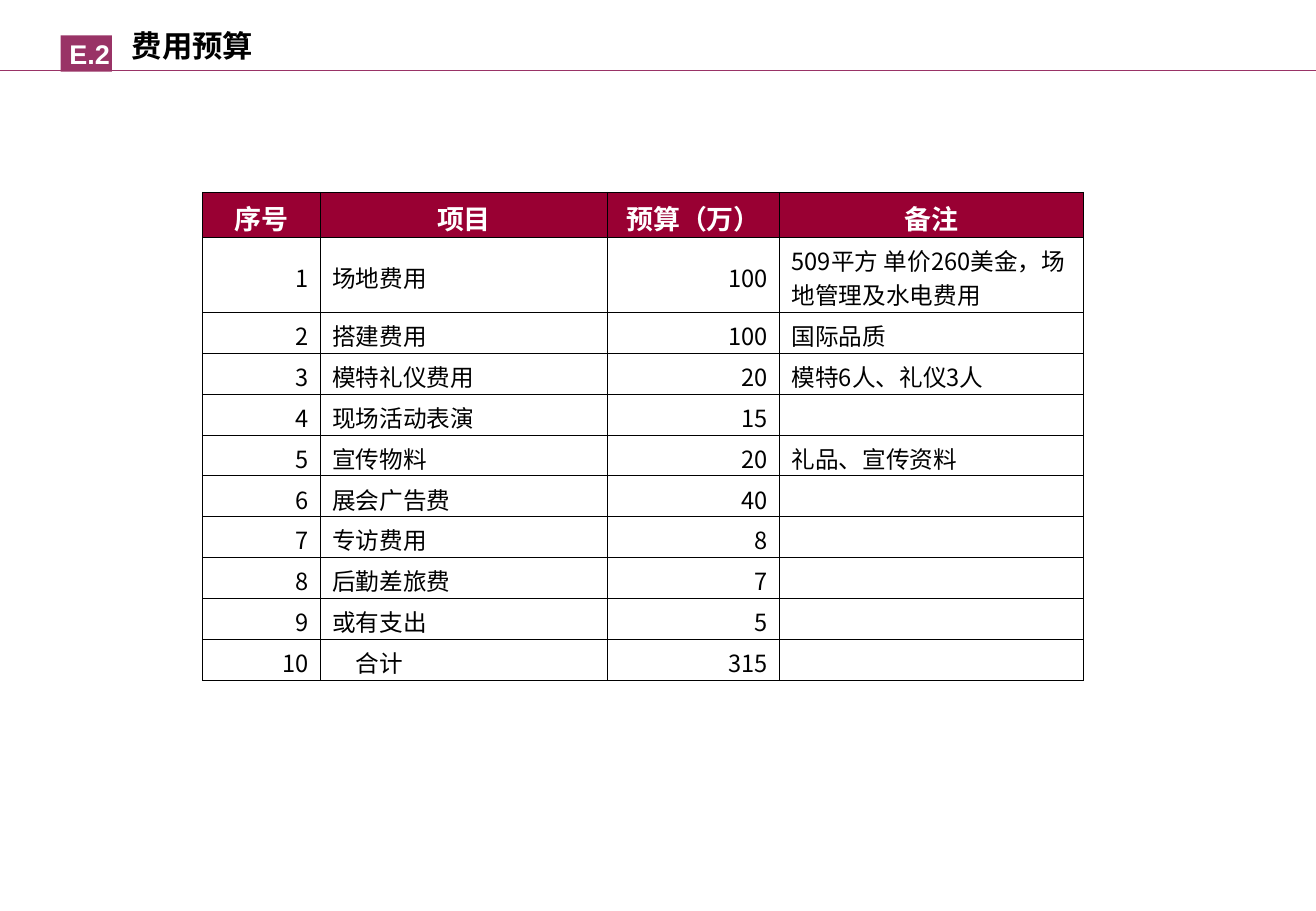
from collections import namedtuple
from dataclasses import dataclass

from lxml import etree
from pptx import Presentation, util as u
from pptx.dml import color
from pptx.enum import shapes, text
from pptx.oxml import ns

Box = namedtuple("Box", "left top width height")


@dataclass(frozen=True)
class Theme:
    plum: str = "993366"
    crimson: str = "990033"
    black: str = "000000"
    white: str = "FFFFFF"
    latin: str = "Arial"
    chinese: str = "Noto Sans CJK SC"
    title_size: int = 18
    header_size: int = 16
    body_size: int = 14
    rule_width: float = 0.75
    border_width: float = 0.45


THEME = Theme()
LEFT, CENTER, RIGHT = text.PP_ALIGN.LEFT, text.PP_ALIGN.CENTER, text.PP_ALIGN.RIGHT
MIDDLE, BOTTOM = text.MSO_ANCHOR.MIDDLE, text.MSO_ANCHOR.BOTTOM

HEADINGS = ["序号", "项目", "预算（万）", "备注"]
COSTS = [
    ("场地费用", 100, "509平方 单价260美金，场地管理及水电费用"),
    ("搭建费用", 100, "国际品质"),
    ("模特礼仪费用", 20, "模特6人、礼仪3人"),
    ("现场活动表演", 15, ""),
    ("宣传物料", 20, "礼品、宣传资料"),
    ("展会广告费", 40, ""),
    ("专访费用", 8, ""),
    ("后勤差旅费", 7, ""),
    ("或有支出", 5, ""),
    ("合计", 315, ""),
]
COLUMN_ALIGNS = [RIGHT, LEFT, RIGHT, LEFT]


def apply(target, formats):
    for name, value in formats.items():
        setattr(target, name, value)


def lengths(box):
    return [u.Cm(value) for value in box]


def write(paragraph, words, size, hue, bold, align, face=THEME.chinese):
    paragraph.alignment = align
    run = paragraph.add_run()
    run.text = words
    apply(run.font, {"size": u.Pt(size), "bold": bold, "name": face})
    run.font.color.rgb = color.RGBColor.from_string(hue)
    etree.SubElement(run.font._element, ns.qn("a:ea"), typeface=face)


def draw_border(cell):
    properties = cell._tc.get_or_add_tcPr()
    for position, side in enumerate(("lnL", "lnR", "lnT", "lnB")):
        edge = etree.Element(ns.qn(f"a:{side}"), w=str(u.Pt(THEME.border_width)))
        fill = etree.SubElement(edge, ns.qn("a:solidFill"))
        etree.SubElement(fill, ns.qn("a:srgbClr"), val=THEME.black)
        properties.insert(position, edge)


def add_heading(slide, box):
    line_y = u.Cm(box.top + box.height)
    rule = slide.shapes.add_connector(
        shapes.MSO_CONNECTOR.STRAIGHT, u.Cm(box.left), line_y, u.Cm(box.left + box.width), line_y)
    rule.line.color.rgb = color.RGBColor.from_string(THEME.plum)
    rule.line.width = u.Pt(THEME.rule_width)
    etree.SubElement(rule._element.spPr, ns.qn("a:effectLst"))

    badge_box = Box(box.left + 1.27, box.top + 0.74, 1.07, 0.76)
    badge = slide.shapes.add_shape(shapes.MSO_SHAPE.RECTANGLE, *lengths(badge_box))
    badge.shadow.inherit = False
    badge.fill.solid()
    badge.fill.fore_color.rgb = color.RGBColor.from_string(THEME.plum)
    badge.line.fill.background()
    apply(badge.text_frame, {
        "margin_left": u.Cm(0.14), "margin_right": 0, "margin_top": 0, "margin_bottom": 0,
        "word_wrap": False, "vertical_anchor": MIDDLE})
    write(badge.text_frame.paragraphs[0], "E.2", THEME.header_size, THEME.white, True,
          CENTER, THEME.latin)

    title = slide.shapes.title
    title_box = Box(box.left + 2.51, box.top + 0.43, 5.51, 1.02)
    apply(title, dict(zip(Box._fields, lengths(title_box))))
    apply(title.text_frame, {
        "margin_left": u.Cm(0.25), "margin_right": u.Cm(0.25), "margin_top": 0,
        "margin_bottom": 0, "word_wrap": True, "vertical_anchor": MIDDLE,
        "auto_size": text.MSO_AUTO_SIZE.NONE})
    write(title.text_frame.paragraphs[0], "费用预算", THEME.title_size, THEME.black, True, LEFT)


def add_budget(slide, box):
    records = [HEADINGS] + [(number, *cost) for number, cost in enumerate(COSTS, 1)]
    table = slide.shapes.add_table(len(records), len(HEADINGS), *lengths(box)).table
    table.horz_banding = False

    widths = [2.46, 6.01, 3.6]
    widths.append(box.width - sum(widths))
    for column, width in zip(table.columns, widths):
        column.width = u.Cm(width)
    heights = [0.94, 1.57]
    single_rows = len(records) - len(heights)
    heights += [(box.height - sum(heights)) / single_rows] * single_rows
    for row, height in zip(table.rows, heights):
        row.height = u.Cm(height)

    for row_index, record in enumerate(records):
        header = row_index == 0
        for column_index, value in enumerate(record):
            cell = table.cell(row_index, column_index)
            indent = 0.49 if value == "合计" else 0
            apply(cell, {
                "margin_left": u.Cm(0.25 + indent), "margin_right": u.Cm(0.25),
                "margin_top": u.Cm(0.1), "margin_bottom": 0,
                "vertical_anchor": BOTTOM if header else MIDDLE})
            if header:
                cell.fill.solid()
                cell.fill.fore_color.rgb = color.RGBColor.from_string(THEME.crimson)
            else:
                cell.fill.background()
            draw_border(cell)
            write(cell.text_frame.paragraphs[0], str(value),
                  THEME.header_size if header else THEME.body_size,
                  THEME.white if header else THEME.black, header,
                  CENTER if header else COLUMN_ALIGNS[column_index])


def main():
    deck = Presentation()
    apply(deck, {"slide_width": u.Cm(27.53), "slide_height": u.Cm(19.05)})
    slide = deck.slides.add_slide(deck.slide_layouts.get_by_name("Title Only"))
    add_heading(slide, Box(0, 0, 27.53, 1.48))
    add_budget(slide, Box(4.24, 4.02, 18.42, 10.21))
    deck.save("out.pptx")


if __name__ == "__main__":
    main()
